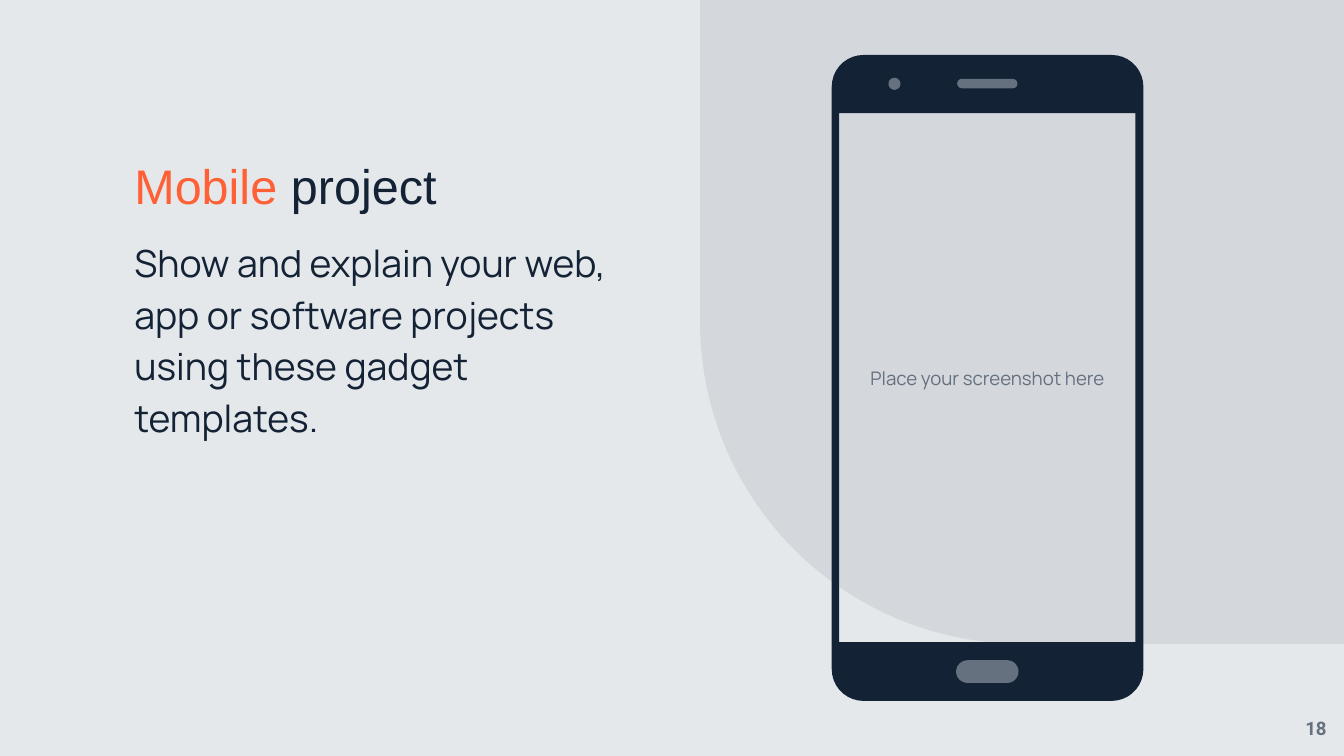
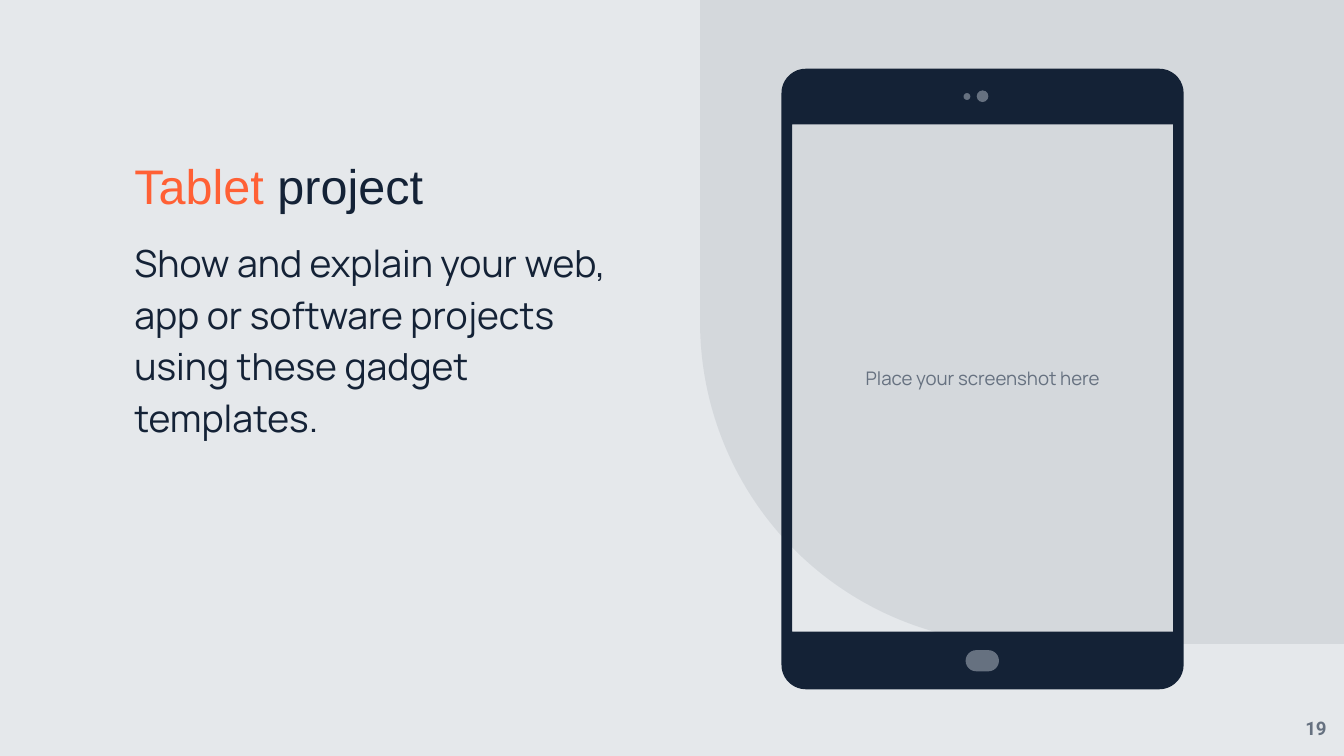
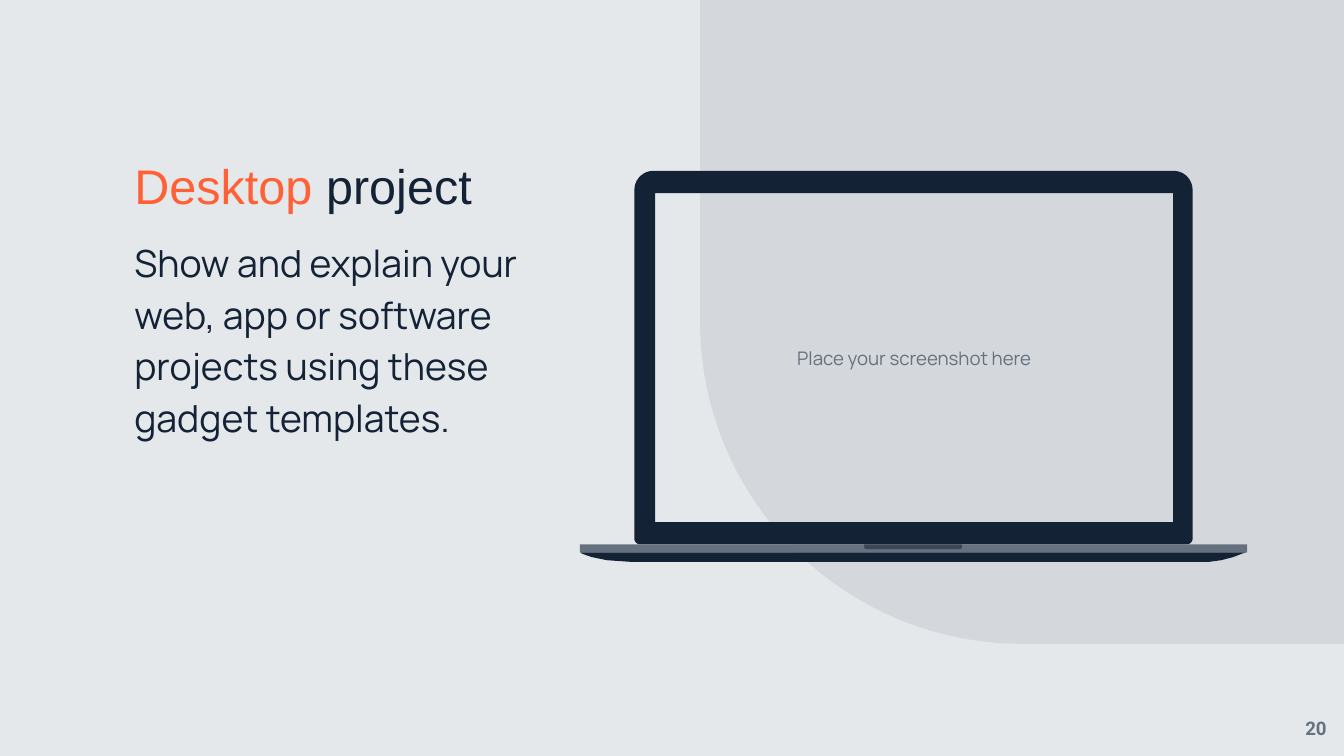
from math import cos, radians, sin

from lxml.etree import SubElement
from pptx import Presentation
from pptx.dml.color import RGBColor
from pptx.enum.shapes import MSO_SHAPE as Preset
from pptx.enum.text import MSO_ANCHOR as Anchor, PP_ALIGN as Align
from pptx.oxml.ns import qn
from pptx.util import Cm, Pt

NAVY, GREY, ORANGE, PALE = "142236", "667180", "FF6035", "E5E8EB"
BODY = "Show and explain your web, app or software projects using these gadget templates."
HINT = "Place your screenshot here"
rgb = RGBColor.from_string


def paint(shape, color, opacity=100):
    """Give a flat fill, without line or shadow; opacity in percent."""
    shape.shadow.inherit = False
    shape.fill.solid()
    shape.fill.fore_color.rgb = rgb(color)
    shape.line.fill.background()
    if opacity < 100:
        fill = shape._element.spPr.find(qn("a:solidFill"))
        SubElement(fill[0], qn("a:alpha")).set("val", str(opacity * 1000))


def write(slide, box, runs, font, size, anchor=Anchor.TOP, align=Align.LEFT,
          spacing=1.0, before=0, bold=False):
    """Add a text box; box is in cm and runs are (text, colour) pairs."""
    frame = slide.shapes.add_textbox(*map(Cm, box)).text_frame
    frame.word_wrap = True
    frame.vertical_anchor = anchor
    frame.margin_left = frame.margin_right = frame.margin_top = frame.margin_bottom = 0
    line = frame.paragraphs[0]
    line.alignment = align
    line.line_spacing = spacing
    line.space_before = Pt(before)
    for text, color in runs:
        run = line.add_run()
        run.text = text
        run.font.name = font
        run.font.size = Pt(size)
        run.font.bold = bold
        run.font.color.rgb = rgb(color)


# Boxes are left, top, width, height in cm; radii are those of the top and bottom corners.
devices = [
    dict(name="Mobile", text_width=9.63, radii=(0.6, 0.6),
         case=(15.72, 1.04, 5.89, 12.21), screen=(15.86, 2.14, 5.6, 10),
         details=[(Preset.ROUNDED_RECTANGLE, (18.07, 12.48, 1.18, 0.43)),
                  (Preset.OVAL, (16.79, 1.47, 0.23, 0.23)),
                  (Preset.ROUNDED_RECTANGLE, (18.09, 1.49, 1.14, 0.18))]),
    dict(name="Tablet", text_width=9.63, radii=(0.46, 0.46),
         case=(14.77, 1.3, 7.6, 11.73), screen=(14.97, 2.35, 7.2, 9.59),
         details=[(Preset.ROUNDED_RECTANGLE, (18.25, 12.29, 0.63, 0.4)),
                  (Preset.OVAL, (18.21, 1.76, 0.13, 0.13)),
                  (Preset.OVAL, (18.46, 1.71, 0.22, 0.22))]),
    dict(name="Desktop", text_width=7.44, radii=(0.36, 0.11),
         case=(11.99, 3.23, 10.55, 7.06), screen=(12.38, 3.65, 9.79, 6.22),
         details=[(Preset.RECTANGLE, (10.96, 10.29, 12.61, 0.15))]),
]

deck = Presentation()
deck.slide_width, deck.slide_height = Cm(25.4), Cm(14.29)

for number, device in enumerate(devices, 18):
    slide = deck.slides.add_slide(deck.slide_layouts[6])
    slide.background.fill.solid()
    slide.background.fill.fore_color.rgb = rgb(PALE)

    backdrop = slide.shapes.add_shape(
        Preset.ROUND_1_RECTANGLE, Cm(13.23), Cm(0), Cm(12.17), Cm(12.17))
    backdrop.adjustments[0] = 0.5
    backdrop.rotation = 180
    paint(backdrop, NAVY, 8)

    number_box = (24.34, 13.23, 1.06, 1.06)
    number_tab = slide.shapes.add_shape(Preset.ROUND_1_RECTANGLE, *map(Cm, number_box))
    number_tab.adjustments[0] = 0.5
    number_tab._element.spPr.xfrm.set("flipH", "1")
    paint(number_tab, PALE)

    write(slide, device["screen"], [(HINT, GREY)], "Manrope", 10,
          Anchor.MIDDLE, Align.CENTER)
    write(slide, number_box, [(str(number), GREY)], "Roboto", 10,
          Anchor.MIDDLE, Align.CENTER, bold=True)

    # The case is a rounded outline with the screen cut out of it.
    left, top, width, height = device["case"]
    right, bottom = left + width, top + height
    upper, lower = device["radii"]
    corners = [(left + upper, top + upper, upper, 180),
               (right - upper, top + upper, upper, 270),
               (right - lower, bottom - lower, lower, 0),
               (left + lower, bottom - lower, lower, 90)]
    outline = [(Cm(x + radius * cos(radians(start + turn))),
                Cm(y + radius * sin(radians(start + turn))))
               for x, y, radius, start in corners for turn in range(0, 91, 10)]
    x, y, width, height = device["screen"]
    cutout = [(Cm(a), Cm(b)) for a, b in
              [(x, y), (x, y + height), (x + width, y + height), (x + width, y)]]
    case = slide.shapes.build_freeform(*outline[0])
    case.add_line_segments(outline[1:])
    case.move_to(*cutout[0])
    case.add_line_segments(cutout[1:])
    paint(case.convert_to_shape(), NAVY)

    for preset, box in device["details"]:
        detail = slide.shapes.add_shape(preset, *map(Cm, box))
        if preset == Preset.ROUNDED_RECTANGLE:
            detail.adjustments[0] = 0.5
        paint(detail, GREY)

    if device["name"] == "Desktop":
        underside = [(Cm(x), Cm(y)) for x, y in
                     [(10.96, 10.44), (11.01, 10.47), (11.18, 10.53), (11.47, 10.59),
                      (11.9, 10.62), (22.86, 10.62), (23.08, 10.59), (23.31, 10.53),
                      (23.49, 10.46), (23.57, 10.44)]]
        base = slide.shapes.build_freeform(*underside[0])
        base.add_line_segments(underside[1:])
        paint(base.convert_to_shape(), NAVY)

        notch = slide.shapes.add_shape(
            Preset.ROUND_2_SAME_RECTANGLE, Cm(16.33), Cm(10.29), Cm(1.85), Cm(0.09))
        notch.adjustments[0] = 0.5
        notch.rotation = 180
        paint(notch, NAVY, 53)

    write(slide, (2.54, 4.42, device["text_width"], 7.72), [(BODY, NAVY)],
          "Manrope", 20, spacing=1.15, before=6)
    write(slide, (2.54, 2.31, device["text_width"], 1.75),
          [(device["name"], ORANGE), (" project", NAVY)],
          "Arial", 26, Anchor.BOTTOM, spacing=0.9)

deck.save("out.pptx")
